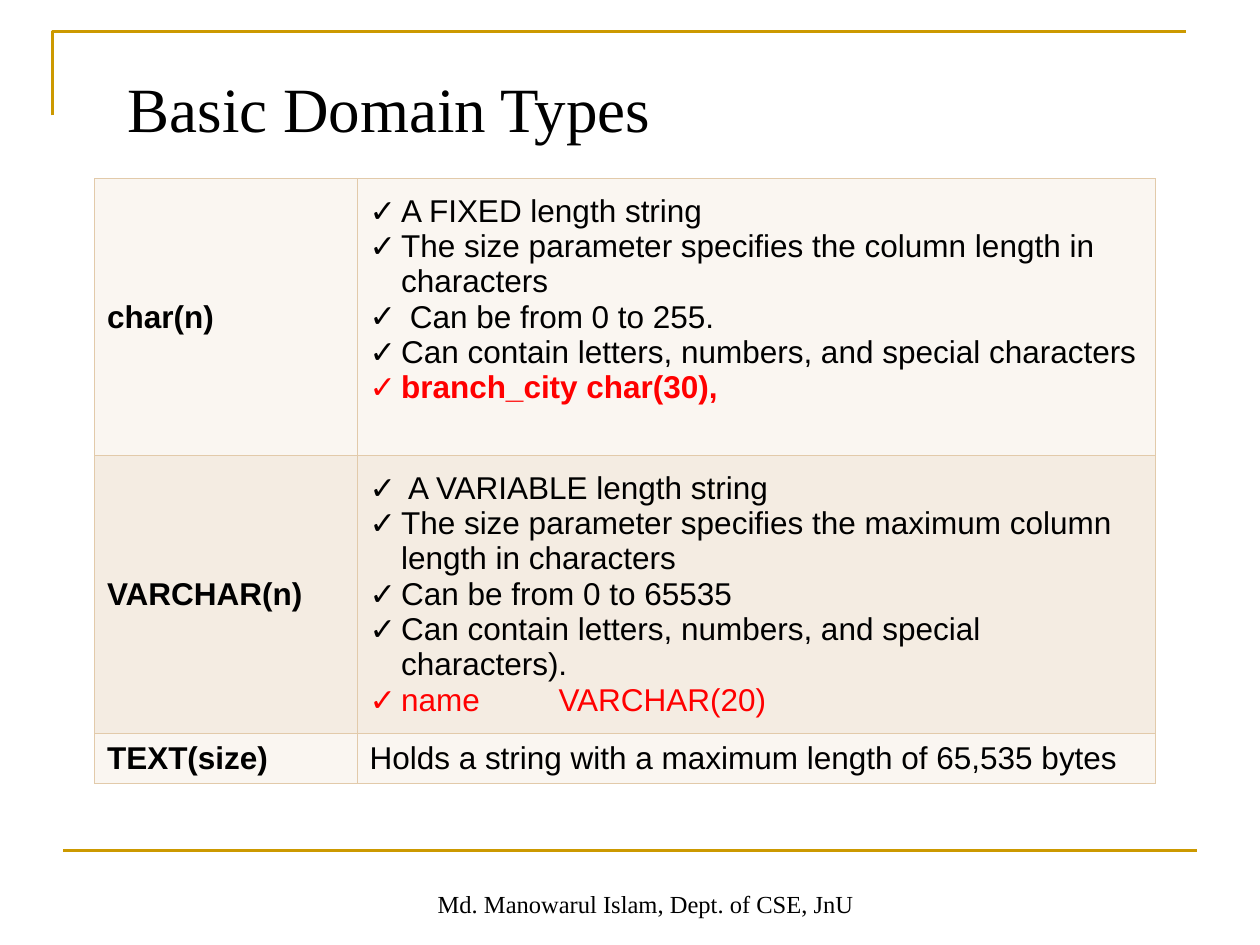
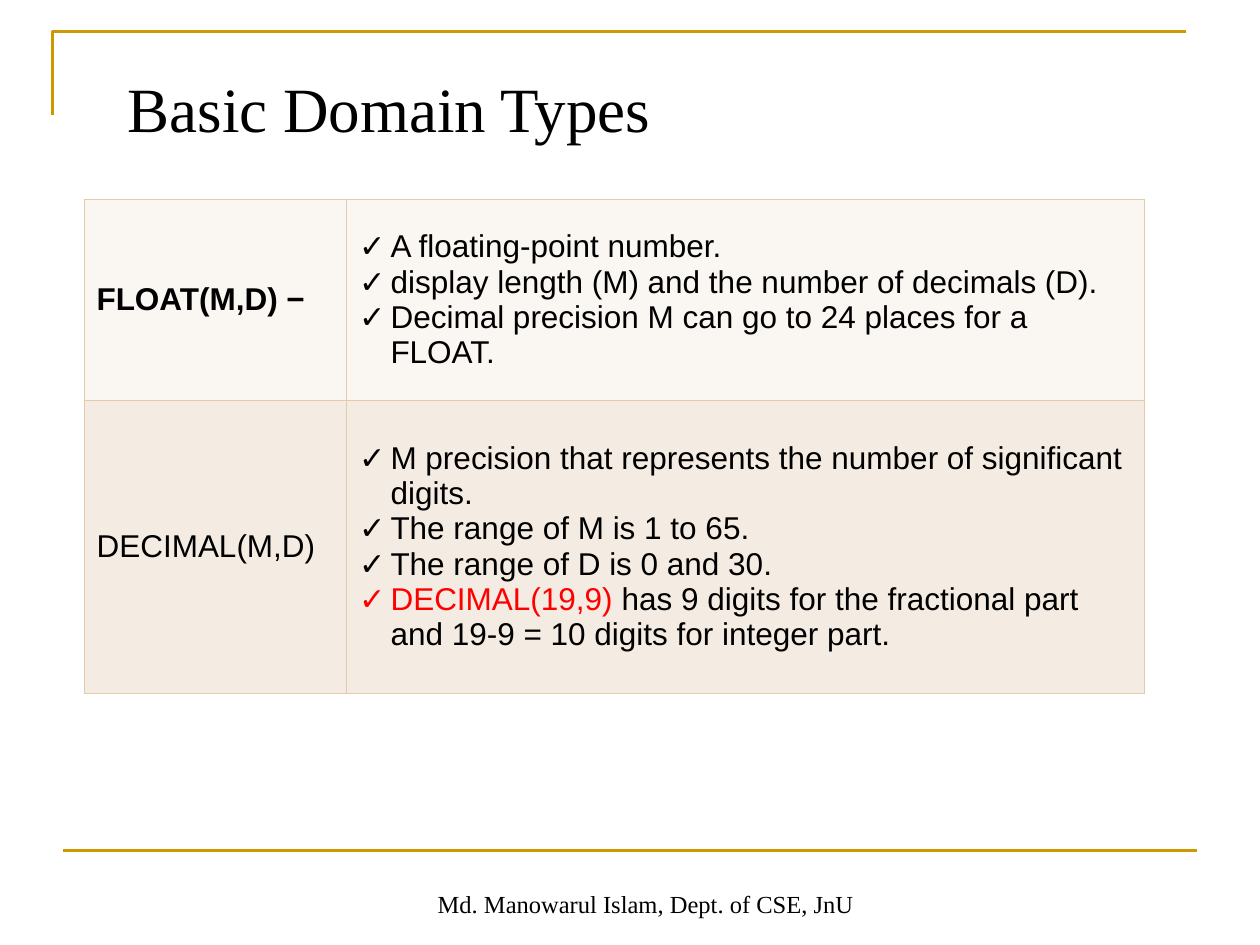
from lxml.etree import SubElement
from pptx import Presentation
from pptx.dml.color import RGBColor
from pptx.enum.shapes import MSO_CONNECTOR
from pptx.enum.text import MSO_ANCHOR, MSO_AUTO_SIZE, PP_ALIGN
from pptx.oxml.ns import qn
from pptx.util import Inches, Pt

GOLD, BLACK, RED, TAN = "CC9900", "000000", "FF0000", "E2CAAA"
BANDS = ["FAF6F1", "F4ECE2"]
SERIF, SANS = "Times New Roman", "Arial"

deck = Presentation()
deck.slide_width, deck.slide_height = Inches(10), Inches(7.5)
# The grid has 120 columns and 90 rows of square units.
UNIT = deck.slide_width // 120
COLS = [25, 76]


def paint(fill, hue):
    fill.solid()
    fill.fore_color.rgb = RGBColor.from_string(hue)


def write(frame, text, size=18, font=SANS, hue=BLACK, bold=False,
          align=PP_ALIGN.LEFT, check=False, tab=None, rest=""):
    """Add a paragraph; check gives it a tick, rest is a black second run."""
    para = frame.paragraphs[0]
    if para.runs:
        para = frame.add_paragraph()
    para.alignment = align
    props = para._p.get_or_add_pPr()
    if check:
        props.set("marL", str(Inches(0.25)))
        props.set("indent", str(-Inches(0.25)))
        tint = SubElement(props, qn("a:buClr"))
        SubElement(tint, qn("a:srgbClr"), val=hue)
        SubElement(props, qn("a:buFont"), typeface=font)
        SubElement(props, qn("a:buChar"), char="✓")
    if tab:
        stops = SubElement(props, qn("a:tabLst"))
        SubElement(stops, qn("a:tab"), pos=str(Inches(tab)), algn="l")
    for part, tone in [(text, hue), (rest, BLACK)]:
        if part:
            run = para.add_run()
            run.text = part
            run.font.size, run.font.name, run.font.bold = Pt(size), font, bold
            paint(run.font.fill, tone)


# Each table: left, top, rows of (height, foot margin, type, bold, lines).
tables = [
    (9, 17, [
        (26.4, 0.33, "char(n)", True, [
            dict(text="A FIXED length string"),
            dict(text="The size parameter specifies the column length in characters"),
            dict(text=" Can be from 0 to 255."),
            dict(text="Can contain letters, numbers, and special characters"),
            dict(text="branch_city char(30),", hue=RED, bold=True),
        ]),
        (26.4, 0.05, "VARCHAR(n)", True, [
            dict(text=" A VARIABLE length string"),
            dict(text="The size parameter specifies the maximum column length in characters"),
            dict(text="Can be from 0 to 65535"),
            dict(text="Can contain letters, numbers, and special characters)."),
            dict(text="name\tVARCHAR(20)", hue=RED, tab=1.5),
        ]),
        (4.85, 0.05, "TEXT(size)", True, [
            dict(text="Holds a string with a maximum length of 65,535 bytes"),
        ]),
    ]),
    (8, 19, [
        (19.1, 0.05, "FLOAT(M,D) −", True, [
            dict(text="A floating-point number."),
            dict(text="display length (M) and the number of decimals (D)."),
            dict(text="Decimal precision M can go to 24 places for a FLOAT."),
        ]),
        (27.9, 0.05, "DECIMAL(M,D)", False, [
            dict(text="M precision that represents the number of significant digits."),
            dict(text="The range of M is 1 to 65."),
            dict(text="The range of D is 0 and 30."),
            dict(text="DECIMAL(19,9)", hue=RED,
                 rest=" has 9 digits for the fractional part and 19-9 = 10 digits for integer part."),
        ]),
    ]),
]

labels = [
    ((7, 84.1, 109, 4.1), dict(text="Md. Manowarul Islam, Dept. of CSE, JnU",
                               size=14, align=PP_ALIGN.CENTER)),
    ((11, 6, 115, 8.4), dict(text="Basic Domain Types", size=36)),
]

for left, top, rows in tables:
    slide = deck.slides.add_slide(deck.slide_layouts[6])
    shapes = slide.shapes

    pen = shapes.build_freeform(5, 11, scale=UNIT)
    pen.add_line_segments([(5, 3), (113, 3)], close=False)
    corner = pen.convert_to_shape()
    corner.fill.background()
    corner.shadow.inherit = False
    rule = shapes.add_connector(MSO_CONNECTOR.STRAIGHT,
                                6 * UNIT, 81 * UNIT, 114 * UNIT, 81 * UNIT)
    SubElement(rule._element.spPr, qn("a:effectLst"))
    for edge in (corner, rule):
        paint(edge.line.fill, GOLD)
        edge.line.width = Pt(1.5)

    for place, style in labels:
        box = shapes.add_textbox(*[int(n * UNIT) for n in place])
        box.text_frame.word_wrap = True
        box.text_frame.auto_size = MSO_AUTO_SIZE.SHAPE_TO_FIT_TEXT
        write(box.text_frame, font=SERIF, **style)

    high = sum(row[0] for row in rows)
    table = shapes.add_table(len(rows), len(COLS), left * UNIT, top * UNIT,
                             sum(COLS) * UNIT, int(high * UNIT)).table
    table.first_row = table.horz_banding = False
    for col, wide in zip(table.columns, COLS):
        col.width = wide * UNIT
    for i, (tall, foot, name, bold, lines) in enumerate(rows):
        table.rows[i].height = int(tall * UNIT)
        for cell in table.rows[i].cells:
            cell.vertical_anchor = MSO_ANCHOR.MIDDLE
            for side in ("L", "R", "T", "B"):
                line = SubElement(cell._tc.get_or_add_tcPr(),
                                  qn("a:ln" + side), w=str(Pt(0.45)))
                SubElement(SubElement(line, qn("a:solidFill")),
                           qn("a:srgbClr"), val=TAN)
            paint(cell.fill, BANDS[i % 2])
        write(table.cell(i, 0).text_frame, name, bold=bold)
        body = table.cell(i, 1)
        body.margin_bottom = Inches(foot)
        for line in lines:
            write(body.text_frame, check=len(lines) > 1, **line)

deck.save("out.pptx")
